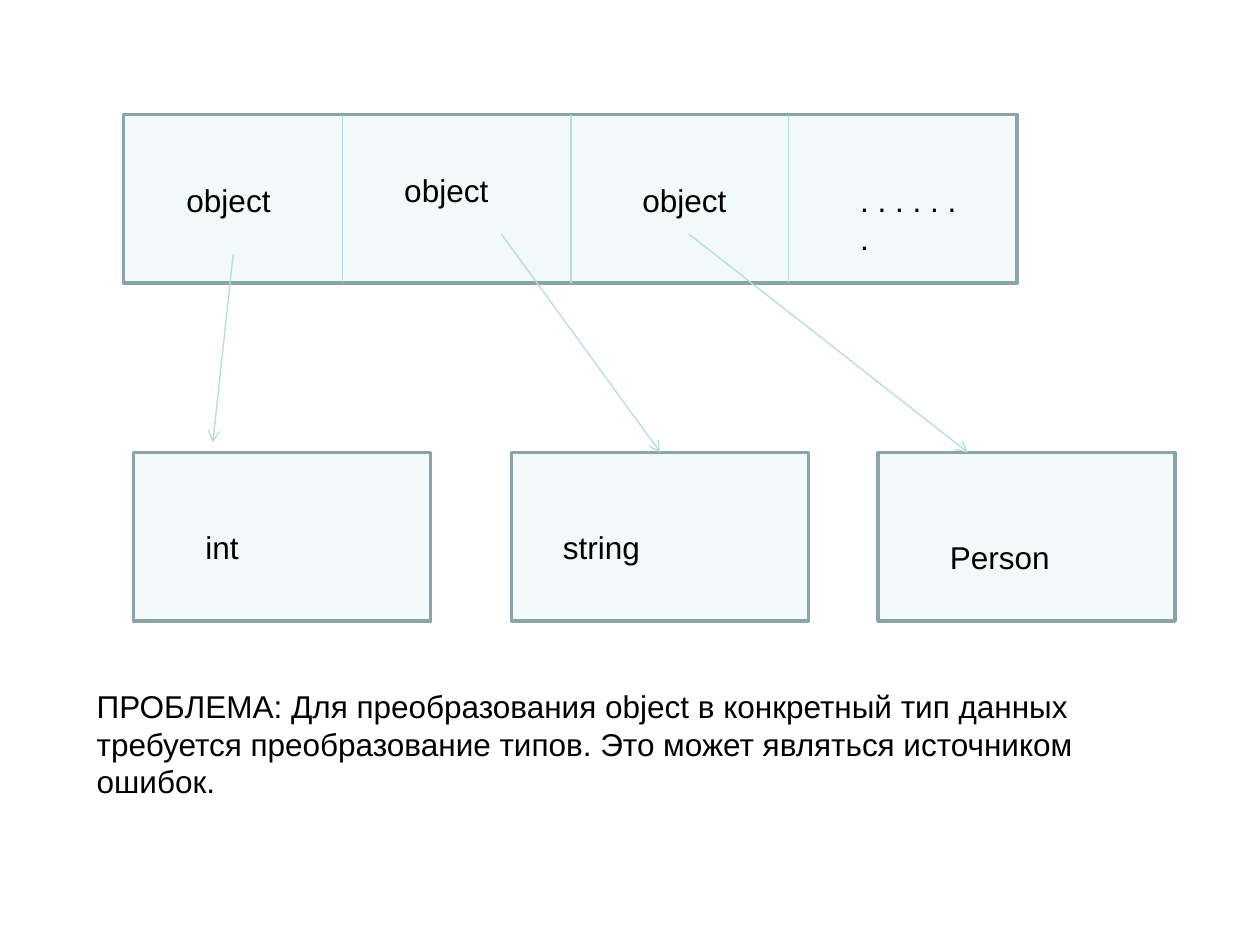
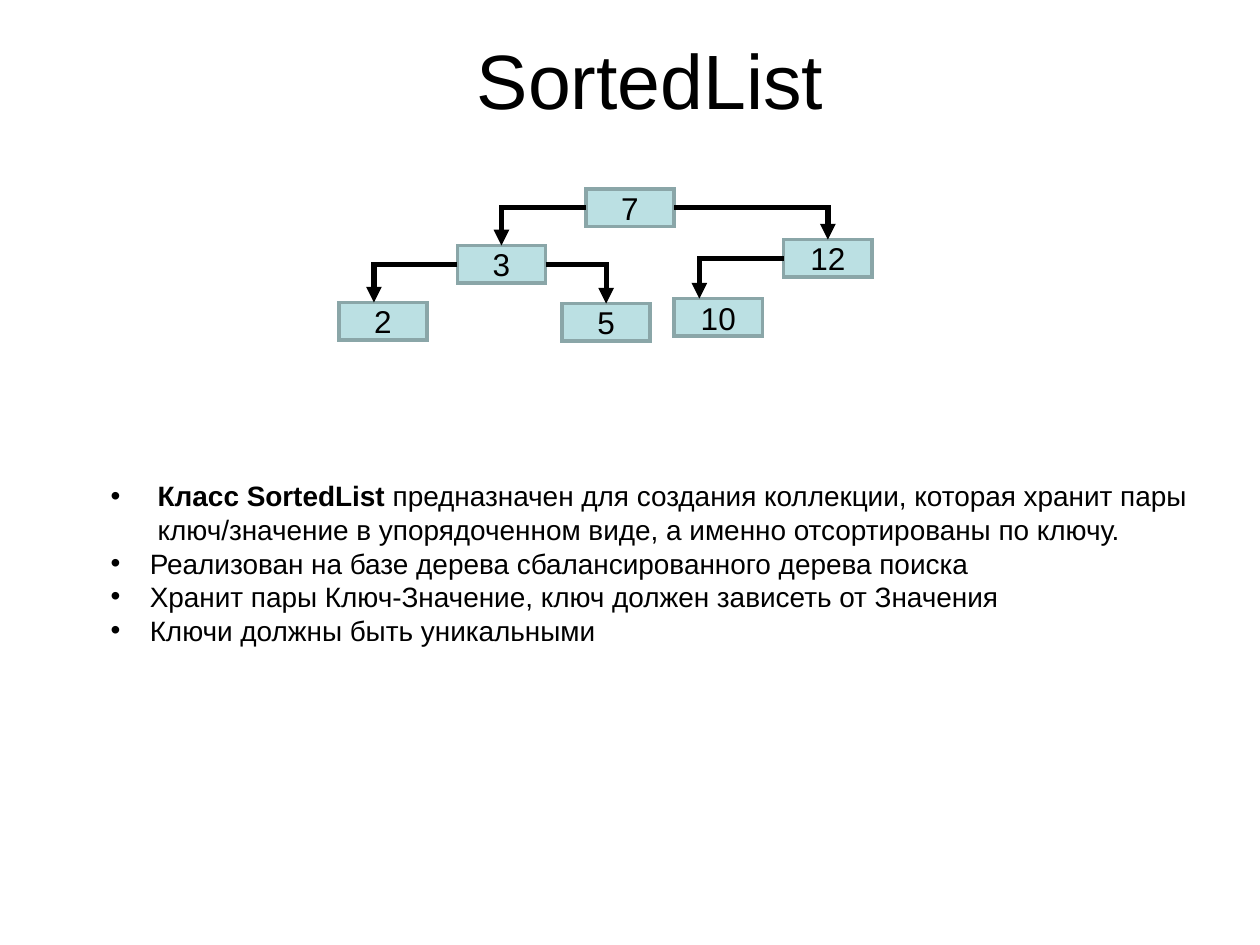
from lxml.etree import SubElement
from pptx import Presentation
from pptx.dml.color import RGBColor
from pptx.enum.shapes import MSO_CONNECTOR as CONN, MSO_SHAPE as SHAPE
from pptx.enum.text import MSO_ANCHOR as ANCHOR, PP_ALIGN as ALIGN
from pptx.oxml.ns import qn
from pptx.util import Cm, Pt

FONT = "Arial"
BLACK = "000000"
PALE, PALE_BORDER, PALE_LINE = "F1F9F9", "8AA5A7", "B5DCDE"
NODE_FILL, NODE_BORDER = "BBE0E3", "8AA6A8"
NODE_W, NODE_H = 1.78, 0.76


def rgb(color):
    """Turn a hex string into a colour."""
    return RGBColor.from_string(color)


def style_line(line, color, width, sharp=False, head=None):
    """Set colour, width, corner and end arrow of a line."""
    line.color.rgb = rgb(color)
    line.width = Pt(width)
    ln = line._get_or_add_ln()
    if sharp:
        SubElement(ln, qn("a:miter"), lim="800000")
    if head:
        SubElement(ln, qn("a:tailEnd"), type=head)


def format_runs(p, size):
    """Give all runs of a paragraph the shared font."""
    for r in p.runs:
        r.font.name = FONT
        r.font.size = Pt(size)
        r.font.color.rgb = rgb(BLACK)


def add_box(slide, x, y, w, h, fill, border, sharp=False):
    """Add a filled rectangle with a border."""
    sp = slide.shapes.add_shape(SHAPE.RECTANGLE, Cm(x), Cm(y), Cm(w), Cm(h))
    sp.shadow.inherit = False
    sp.fill.solid()
    sp.fill.fore_color.rgb = rgb(fill)
    style_line(sp.line, border, 2, sharp)
    return sp


def add_text(slide, text, x, y, w, h, size=18):
    """Add a wrapping text box."""
    sp = slide.shapes.add_textbox(Cm(x), Cm(y), Cm(w), Cm(h))
    tf = sp.text_frame
    tf.word_wrap = True
    tf.text = text
    format_runs(tf.paragraphs[0], size)
    return tf


def add_line(slide, start, end, color, width, head=None, bent=False):
    """Add a straight line or one that runs sideways and then down."""
    kind = CONN.ELBOW if bent else CONN.STRAIGHT
    points = [Cm(v) for v in (*start, *end)]
    cxn = slide.shapes.add_connector(kind, *points)
    style_line(cxn.line, color, width, bent, head)
    sp_pr = cxn._element.spPr
    SubElement(sp_pr, qn("a:effectLst"))
    if bent:
        sp_pr.find(qn("a:prstGeom")).set("prst", "bentConnector2")


def add_node(slide, key, x, y):
    """Add a tree node with its key."""
    sp = add_box(slide, x, y, NODE_W, NODE_H, NODE_FILL, NODE_BORDER, True)
    tf = sp.text_frame
    tf.text = key
    tf.vertical_anchor = ANCHOR.MIDDLE
    tf.paragraphs[0].alignment = ALIGN.CENTER
    format_runs(tf.paragraphs[0], 18)


def add_edge(slide, parent, child, shift):
    """Join the side of a parent node to the top of a child node."""
    (px, py), (cx, cy) = parent, child
    start = (px + NODE_W if cx > px else px, py + NODE_H / 2)
    end = (cx + NODE_W / 2 + shift, cy)
    add_line(slide, start, end, BLACK, 3, "triangle", bent=True)


def set_bullet(p, indent):
    """Give a paragraph a hanging bullet."""
    p_pr = p._p.get_or_add_pPr()
    p_pr.set("marL", str(Cm(indent)))
    p_pr.set("indent", str(-Cm(indent)))
    SubElement(p_pr, qn("a:buFont"), typeface=FONT)
    SubElement(p_pr, qn("a:buChar"), char="•")


def add_bullets(slide, lead, items, x, y, w, h):
    """Add a bulleted list whose first item opens with bold words."""
    tf = add_text(slide, lead, x, y, w, h, 16)
    first = tf.paragraphs[0]
    first.runs[0].font.bold = True
    first.add_run().text = items[0]
    first.space_before = Pt(4.8)
    for item in items[1:]:
        tf.add_paragraph().text = item
    for p in tf.paragraphs:
        format_runs(p, 16)
        set_bullet(p, 0.95 if p is first else 0.79)
    set_first = tf.paragraphs[0]._p.get_or_add_pPr()
    set_first.set("marL", str(Cm(0.95)))
    set_first.set("indent", str(-Cm(0.95)))


def build_object_array(slide):
    """Show an array of object references and the values behind them."""
    top, height = 2.31, 3.4
    add_box(slide, 2.49, top, 18.01, height, PALE, PALE_BORDER)
    for x in (6.91, 11.51, 15.9):
        add_line(slide, (x, top), (x, top + height), PALE_LINE, 0.75)
    for x in (2.69, 10.31, 17.7):
        add_box(slide, x, 9.12, 5.99, height, PALE, PALE_BORDER)
    references = [
        ((4.7, 5.13), (4.29, 8.92)),
        ((10.11, 4.72), (13.31, 9.12)),
        ((13.89, 4.72), (19.51, 9.12)),
    ]
    for start, end in references:
        add_line(slide, start, end, PALE_LINE, 0.75, "arrow")
    labels = [
        ("object", 3.51, 3.53, 2.41),
        ("object", 7.9, 3.33, 2.41),
        ("object", 12.7, 3.53, 2.41),
        (". . . . . . .", 17.09, 3.53, 2.59),
        ("int", 3.89, 10.52, 3.4),
        ("string", 11.1, 10.52, 4.6),
        ("Person", 18.9, 10.72, 3.6),
    ]
    for text, x, y, w in labels:
        add_text(slide, text, x, y, w, 1.02)
    problem = (
        "ПРОБЛЕМА: Для преобразования object в конкретный тип данных "
        "требуется преобразование типов. Это может являться источником ошибок."
    )
    add_text(slide, problem, 1.7, 13.72, 22, 2.54)


def build_sorted_list(slide):
    """Show the search tree of SortedList and its properties."""
    tf = add_text(slide, "SortedList", 1.68, 0, 22.86, 3.18, 44)
    tf.vertical_anchor = ANCHOR.MIDDLE
    tf.paragraphs[0].alignment = ALIGN.CENTER
    items = [
        " предназначен для создания коллекции, которая хранит пары "
        "ключ/значение в упорядоченном виде, а именно отсортированы по ключу.",
        "Реализован на базе дерева сбалансированного дерева поиска",
        "Хранит пары Ключ-Значение, ключ должен зависеть от Значения",
        "Ключи должны быть уникальными",
    ]
    add_bullets(slide, "Класс SortedList", items, 1.98, 9.53, 22.23, 5.05)
    nodes = {
        "7": (11.81, 3.81),
        "3": (9.22, 4.95),
        "2": (6.83, 6.1),
        "5": (11.33, 6.12),
        "10": (13.59, 6.02),
        "12": (15.8, 4.83),
    }
    for key, (x, y) in nodes.items():
        add_node(slide, key, x, y)
    edges = [
        ("7", "3", 0),
        ("3", "2", -0.18),
        ("12", "10", -0.38),
        ("7", "12", 0),
        ("3", "5", 0),
    ]
    for parent, child, shift in edges:
        add_edge(slide, nodes[parent], nodes[child], shift)


def main():
    """Build and save the presentation."""
    prs = Presentation()
    prs.slide_width, prs.slide_height = Cm(25.4), Cm(19.05)
    for build in (build_object_array, build_sorted_list):
        build(prs.slides.add_slide(prs.slide_layouts[6]))
    prs.save("out.pptx")


if __name__ == "__main__":
    main()
